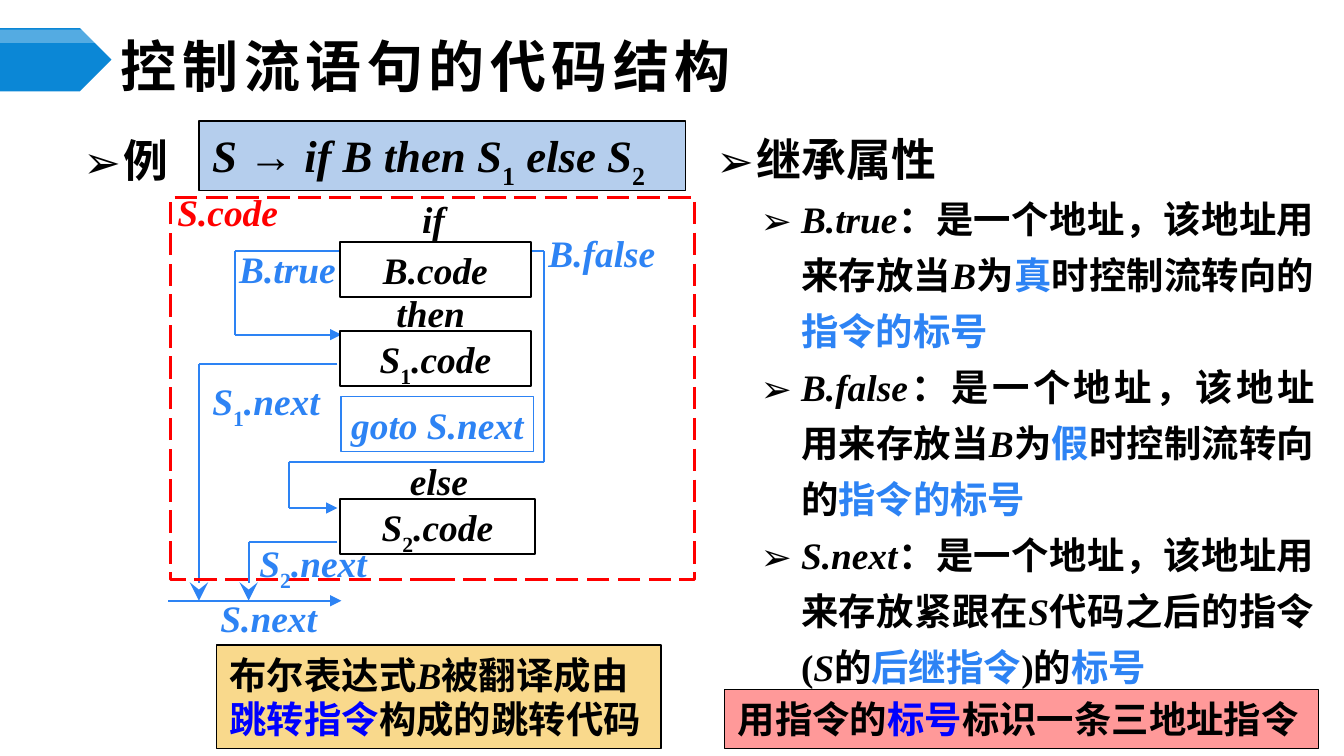
from lxml import etree
from pptx import Presentation
from pptx.dml.color import RGBColor
from pptx.enum.dml import MSO_LINE
from pptx.enum.shapes import MSO_CONNECTOR, MSO_SHAPE as SHAPE
from pptx.enum.text import MSO_ANCHOR as ANCHOR, MSO_AUTO_SIZE as AUTO, PP_ALIGN as ALIGN
from pptx.oxml.ns import qn
from pptx.util import Pt

PX = 9144  # 100 px to the inch
BLUE, BLACK, RED, LINK = "2D83F4", "000000", "FF0000", "0000FF"
LATIN, HAN = "Times New Roman", "Noto Sans CJK SC"
rgb = RGBColor.from_string

deck = Presentation()
deck.slide_width = 1000 * PX
deck.slide_height = deck.slide_width * 9 // 16
slide = deck.slides.add_slide(deck.slide_layouts[3])
shapes = slide.shapes
title, example, attributes = slide.placeholders


def write(paragraph, runs, size=20, color=BLACK, accent=BLUE, latin=LATIN):
    """Style letters: i italic, s subscript, a accent colour."""
    for text, style in runs:
        run = paragraph.add_run()
        run.text = text
        font = run.font
        font.name, font.size, font.bold = latin, Pt(size), True
        font.italic = "i" in style
        font.color.rgb = rgb(accent if "a" in style else color)
        props = run._r.get_or_add_rPr()
        etree.SubElement(props, qn("a:ea")).set("typeface", HAN)
        if "s" in style:
            props.set("baseline", "-30000")


def add_box(at, fill=None, line=None, width=1, inset=(7, 4), kind=SHAPE.RECTANGLE):
    box = shapes.add_shape(kind, *[v * PX for v in at])
    box.shadow.inherit = False
    if fill:
        box.fill.solid()
        box.fill.fore_color.rgb = rgb(fill)
    else:
        box.fill.background()
    if line:
        box.line.color.rgb = rgb(line)
        box.line.width = Pt(width)
    else:
        box.line.fill.background()
    frame = box.text_frame
    frame.word_wrap, frame.vertical_anchor = True, ANCHOR.TOP
    frame.margin_left = frame.margin_right = inset[0] * PX
    frame.margin_top = frame.margin_bottom = inset[1] * PX
    frame.paragraphs[0].alignment = ALIGN.LEFT
    return box


# Title ribbon with a translucent highlight
add_box((0, 21, 83, 47), "0B87D6", kind=SHAPE.PENTAGON)
highlight = add_box((0, 22, 83, 10), "FFFFFF", kind=SHAPE.PENTAGON)
white = highlight.fill._xPr.find(qn("a:solidFill"))[0]
etree.SubElement(white, qn("a:alpha")).set("val", "30000")

# Placeholders
for holder, at in [
    (title, (83, 29, 867, 39)),
    (example, (55, 86, 83, 61)),
    (attributes, (526, 92, 459, 440)),
]:
    holder.left, holder.top, holder.width, holder.height = [v * PX for v in at]
    frame = holder.text_frame
    frame.auto_size, frame.word_wrap = AUTO.NONE, True
    frame.margin_left = frame.margin_right = 7 * PX
    frame.margin_top = frame.margin_bottom = 4 * PX

heading = title.text_frame.paragraphs[0]
title.text_frame.vertical_anchor = ANCHOR.MIDDLE
heading.alignment = ALIGN.LEFT
write(heading, [("控制流语句的代码结构", "")], 30, latin=HAN)
heading.runs[0]._r.get_or_add_rPr().set("spc", "300")

# Bulleted lists: holder, level, line pitch, runs
common = "：是一个地址，该地址用来存放"
bullets = [
    (example, 0, 35, [("例", "")]),
    (attributes, 0, 30, [("继承属性", "")]),
]
for name, truth in [("B.true", "真"), ("B.false", "假")]:
    bullets.append((attributes, 1, 30, [
        (name, "i"), (common + "当", ""), ("B", "i"), ("为", ""), (truth, "a"),
        ("时控制流转向的", ""), ("指令的标号", "a")]))
bullets.append((attributes, 1, 30, [
    ("S.next", "i"), (common + "紧跟在", ""), ("S", "i"), ("代码之后的指令(", ""),
    ("S", "i"), ("的", ""), ("后继指令", "a"), (")的", ""), ("标号", "a")]))

for holder, level, pitch, runs in bullets:
    frame = holder.text_frame
    item = frame.add_paragraph() if frame.text else frame.paragraphs[0]
    item.level = level
    item.alignment = ALIGN.JUSTIFY if level else ALIGN.LEFT
    item.line_spacing, item.space_before = Pt(pitch), Pt(0)
    props = item._p.get_or_add_pPr()
    props.set("marL", str((63 if level else 30) * PX))
    props.set("indent", str(-30 * PX))
    etree.SubElement(props, qn("a:buFont")).set("typeface", HAN)
    etree.SubElement(props, qn("a:buChar")).set("char", "➢")
    write(item, runs, 20 if level else 24)

# Grammar rule and the two remarks
callouts = [
    ((148, 90, 362, 52), "B5CEED", 24, [
        ("S ", "i"), ("→ ", ""), ("if B then S", "i"), ("1", "s"),
        (" else S", "i"), ("2", "s")]),
    ((161, 480, 331, 77), "F9D98C", 20, [
        ("布尔表达式", ""), ("B", "i"), ("被翻译成由", ""), ("跳转指令", "a"),
        ("构成的跳转代码", "")]),
    ((539, 513, 442, 44), "FF9999", 20, [
        ("用指令的", ""), ("标号", "a"), ("标识一条三地址指令", "")]),
]
for at, fill, size, runs in callouts:
    callout = add_box(at, fill, BLACK, 0.75, inset=(10, 5))
    write(callout.text_frame.paragraphs[0], runs, size, accent=LINK)

# Jumps: corner points, arrowhead on the last leg and its size
jumps = [
    ([(251, 271), (148, 271), (148, 447)], "stealth", "lg"),
    ([(251, 403), (185, 403), (185, 447)], "stealth", "lg"),
    ([(125, 447), (254, 447)], "triangle", "med"),
    ([(266, 187), (175, 187), (175, 249), (254, 249)], "triangle", "med"),
    ([(366, 187), (405, 187), (405, 344), (215, 344), (215, 378), (251, 378)],
     "triangle", "med"),
]
for corners, head, head_size in jumps:
    for start, end in zip(corners, corners[1:]):
        leg = shapes.add_connector(MSO_CONNECTOR.STRAIGHT, *[v * PX for v in start + end])
        leg.line.color.rgb = rgb(BLUE)
        leg.line.width = Pt(1)
        etree.SubElement(leg._element.spPr, qn("a:effectLst"))
    tip = etree.SubElement(leg.line._get_or_add_ln(), qn("a:tailEnd"))
    for key, value in [("type", head), ("w", head_size), ("len", head_size)]:
        tip.set(key, value)

# Frame around the code of S
code_frame = add_box((127, 147, 390, 284), None, RED, 1.5)
code_frame.line.dash_style = MSO_LINE.LONG_DASH

# Labels
labels = [
    ((151, 277, 99, 41), BLUE, [("S", "i"), ("1", "s"), (".next", "i")]),
    ((186, 398, 118, 41), BLUE, [("S", "i"), ("2", "s"), (".next", "i")]),
    ((157, 439, 122, 41), BLUE, [("S.next", "i")]),
    ((171, 179, 116, 41), BLUE, [("B.true", "i")]),
    ((401, 167, 115, 41), BLUE, [("B.false", "i")]),
    ((125, 137, 96, 44), RED, [("S.code", "i")]),
    ((307, 142, 41, 41), BLACK, [("if", "i")]),
    ((288, 212, 81, 41), BLACK, [("then", "i")]),
    ((298, 337, 59, 41), BLACK, [("else", "i")]),
]
for (left, top, width, height), color, runs in labels:
    label = shapes.add_textbox(left * PX, top * PX, width * PX, height * PX)
    frame = label.text_frame
    frame.word_wrap = True
    frame.margin_left = frame.margin_right = 7 * PX
    frame.margin_top = frame.margin_bottom = 4 * PX
    write(frame.paragraphs[0], runs, color=color)

# Code blocks
blocks = [
    ((253, 180, 142, 41), "FFFFFF", BLACK, [("B.code", "i")]),
    ((253, 246, 142, 41), "FFFFFF", BLACK, [("S", "i"), ("1", "s"), (".code", "i")]),
    ((254, 295, 143, 41), None, BLUE, [("goto S.next", "i")]),
    ((253, 371, 145, 41), "FFFFFF", BLACK, [("S", "i"), ("2", "s"), (".code", "i")]),
]
for at, fill, color, runs in blocks:
    frame = add_box(at, fill, color).text_frame
    frame.word_wrap = False
    frame.paragraphs[0].alignment = ALIGN.CENTER
    write(frame.paragraphs[0], runs, color=color)

deck.save("out.pptx")
